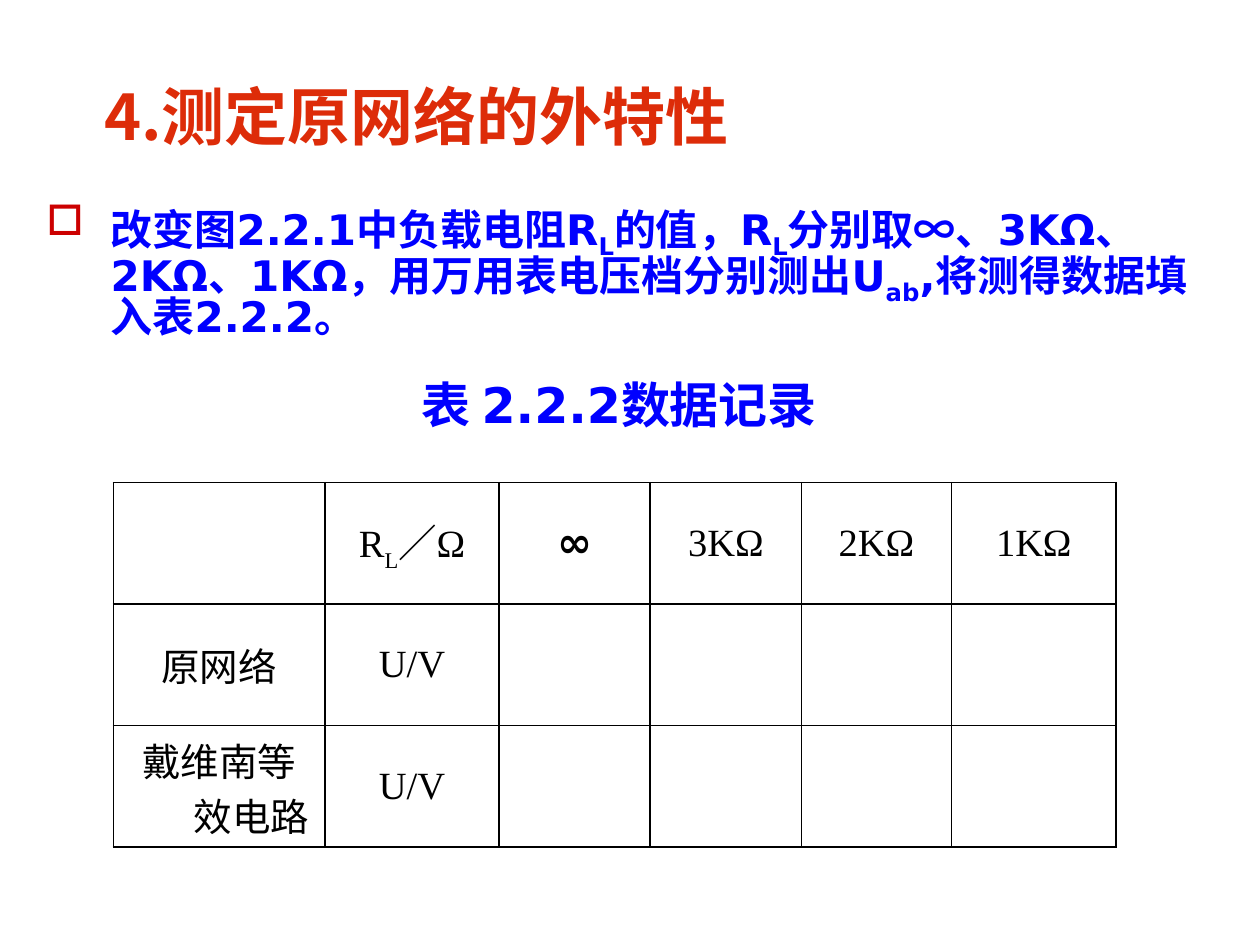
from lxml.etree import SubElement
from pptx import Presentation
from pptx.dml.color import RGBColor
from pptx.enum.text import MSO_ANCHOR, PP_ALIGN
from pptx.oxml.ns import qn
from pptx.util import Pt

RED = RGBColor(0xDD, 0x2C, 0x09)
BLUE = RGBColor(0x00, 0x00, 0xFF)
BLACK = RGBColor(0x00, 0x00, 0x00)
SANS, CJK, SERIF = "DejaVu Sans", "Noto Sans CJK SC", "Times New Roman"
HANGING = 36.7

INSTRUCTION = [
    ("改变图2.2.1中负载电阻R", 0), ("L", -25), ("的值，R", 0), ("L", -25),
    ("分别取∞、3KΩ、2KΩ、1KΩ，用万用表电压档分别测出U", 0), ("ab", -25),
    (",将测得数据填入表2.2.2。", 0),
]
RECORD = [
    [[], [("R", 0), ("L", -30), ("／Ω", 0)], [("∞", 0)],
     [("3KΩ", 0)], [("2KΩ", 0)], [("1KΩ", 0)]],
    [[("原网络", 0)], [("U/V", 0)], [], [], [], []],
    [[("戴维南等效电路", 0)], [("U/V", 0)], [], [], [], []],
]
COLUMN_WIDTHS = [121, 99.4, 86.4, 86.4, 85.7, 94.2]


def write(paragraph, pieces, font_name, size, color, bold=False,
          margin=HANGING, indent=-HANGING, bullet=None):
    """Fill a paragraph with (text, baseline percent) pieces in one font."""
    properties = paragraph._p.get_or_add_pPr()
    properties.set("marL", str(Pt(margin)))
    properties.set("indent", str(Pt(indent)))
    if bullet:
        bullet_color = SubElement(properties, qn("a:buClr"))
        SubElement(bullet_color, qn("a:srgbClr"), val="CC0000")
        SubElement(properties, qn("a:buChar"), char=bullet)
    font = paragraph.font
    font.name, font.size, font.bold = font_name, Pt(size), bold
    font.color.rgb = color
    for text, baseline in pieces:
        run = paragraph.add_run()
        run.text = text
        if baseline:
            run._r.get_or_add_rPr().set("baseline", str(baseline * 1000))


def add_procedure(slide, left, top, width, height):
    """Place the heading, the instruction and the table caption."""
    frame = slide.shapes.add_textbox(Pt(left), Pt(top), Pt(width), Pt(height)).text_frame
    frame.word_wrap = True
    heading = frame.paragraphs[0]
    instruction, caption = frame.add_paragraph(), frame.add_paragraph()
    for paragraph, gap in ((heading, 0), (instruction, 32), (caption, 26)):
        paragraph.line_spacing = 0.8
        paragraph.space_before = Pt(gap)
    caption.alignment = PP_ALIGN.CENTER
    write(heading, [("4.测定原网络的外特性", 0)], CJK, 36, RED, True, margin=33, indent=0)
    write(instruction, INSTRUCTION, SANS, 24, BLUE, True, bullet="□")
    write(caption, [("表 2.2.2数据记录", 0)], SANS, 28, BLUE, True)


def draw_borders(cell):
    """Give a cell thin black lines on all sides and no fill."""
    properties = cell._tc.get_or_add_tcPr()
    for side in ("a:lnL", "a:lnR", "a:lnT", "a:lnB"):
        line = SubElement(properties, qn(side), w=str(Pt(1)))
        SubElement(SubElement(line, qn("a:solidFill")), qn("a:srgbClr"), val=str(BLACK))
    cell.fill.background()


def add_record(slide, left, top, width, height):
    """Place the table in which the readings are recorded."""
    table = slide.shapes.add_table(
        len(RECORD), len(COLUMN_WIDTHS), Pt(left), Pt(top), Pt(width), Pt(height)).table
    table.first_row = table.horz_banding = False
    for column, column_width in zip(table.columns, COLUMN_WIDTHS):
        column.width = Pt(column_width)
    for row_index, row in enumerate(RECORD):
        for column_index, pieces in enumerate(row):
            cell = table.cell(row_index, column_index)
            draw_borders(cell)
            cell.vertical_anchor = MSO_ANCHOR.MIDDLE
            paragraph = cell.text_frame.paragraphs[0]
            paragraph.alignment = PP_ALIGN.CENTER
            infinite = pieces == [("∞", 0)]
            write(paragraph, pieces, SANS if infinite else SERIF,
                  24 if infinite else 22, BLACK, infinite)


def main():
    """Build the slide and save it."""
    presentation = Presentation()
    presentation.slide_width, presentation.slide_height = Pt(720), Pt(540)
    slide = presentation.slides.add_slide(presentation.slide_layouts[6])
    add_procedure(slide, 19.4, 49, 668.9, 209.5)
    add_record(slide, 64.8, 275.8, sum(COLUMN_WIDTHS), 208.1)
    presentation.save("out.pptx")


if __name__ == "__main__":
    main()
